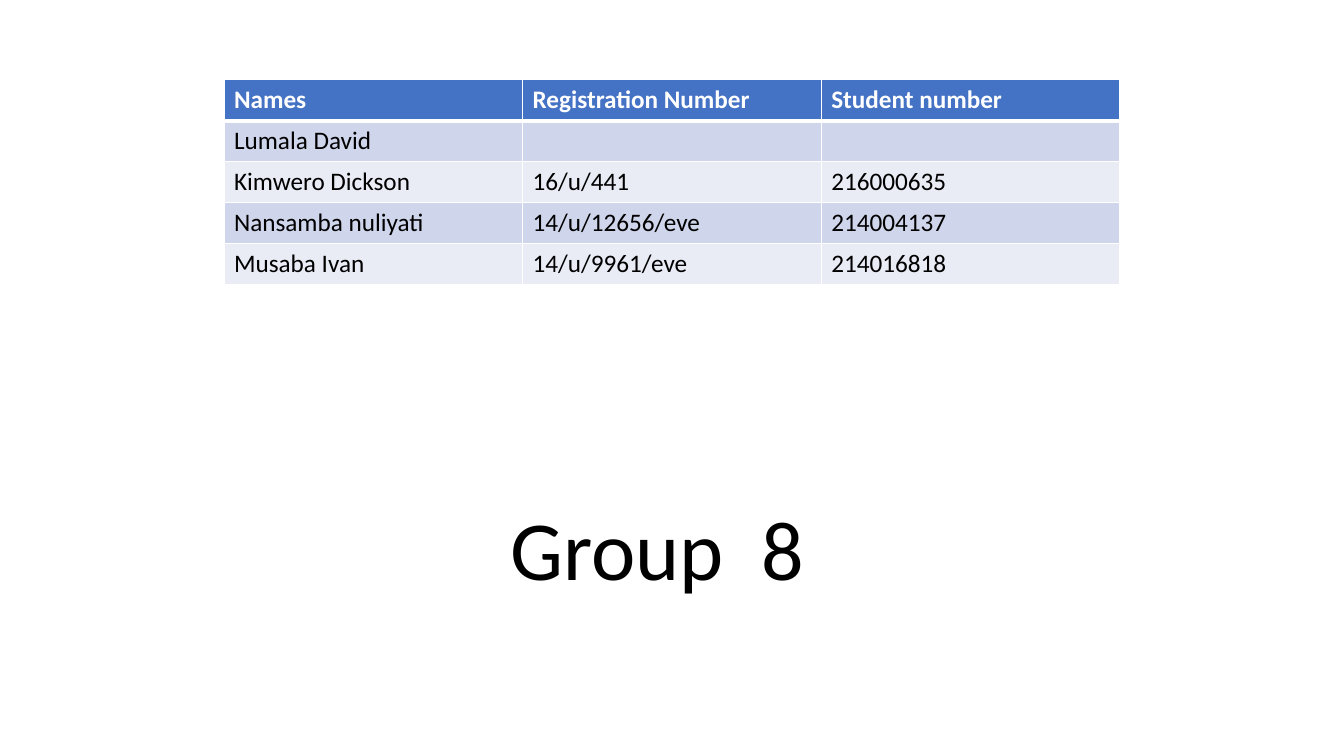
from lxml.etree import SubElement
from pptx import Presentation
from pptx.dml.color import RGBColor
from pptx.enum.text import MSO_ANCHOR, PP_ALIGN
from pptx.oxml.ns import qn
from pptx.util import Pt

TITLE = "Group  8"
ROWS = [
    ("Names", "Registration Number", "Student number"),
    ("Lumala David", "", ""),
    ("Kimwero Dickson", "16/u/441", "216000635"),
    ("Nansamba nuliyati", "14/u/12656/eve", "214004137"),
    ("Musaba Ivan", "14/u/9961/eve", "214016818"),
]
HEAD, BANDS = "4472C4", ("E9EBF5", "CFD5EA")
WHITE, BLACK = "FFFFFF", "000000"
LEFT, TOP, WIDE, HIGH = 160, 57, 640, 29.2


def paint(part, tone):
    """Give a fill or font a solid colour."""
    if hasattr(part, "solid"):
        part.solid()
        part.fore_color.rgb = RGBColor.from_string(tone)
    else:
        part.color.rgb = RGBColor.from_string(tone)


def write(frame, text, size, tone, bold=False):
    """Add one run of text to the first paragraph."""
    para = frame.paragraphs[0]
    run = para.add_run()
    run.text = text
    font = run.font
    font.name, font.size, font.bold = "Calibri", Pt(size), bold
    paint(font, tone)
    return para


def edge(cell, side, width):
    """Draw one white border of a cell."""
    props = cell._tc.get_or_add_tcPr()
    line = SubElement(props, qn("a:ln" + side), w=str(Pt(width)))
    fill = SubElement(line, qn("a:solidFill"))
    SubElement(fill, qn("a:srgbClr"), val=WHITE)


def build():
    """Build the slide with its title and student table."""
    deck = Presentation()
    deck.slide_width, deck.slide_height = Pt(960), Pt(540)
    slide = deck.slides.add_slide(deck.slide_layouts[5])

    title = slide.shapes.title
    title.left, title.top = Pt(109.5), Pt(243.5)
    title.width, title.height = Pt(720), Pt(188)
    frame = title.text_frame
    frame.word_wrap = True
    frame.vertical_anchor = MSO_ANCHOR.BOTTOM
    para = write(frame, TITLE, 60, BLACK)
    para.alignment, para.line_spacing = PP_ALIGN.CENTER, 0.9

    count = len(ROWS)
    table = slide.shapes.add_table(
        count, len(ROWS[0]), Pt(LEFT), Pt(TOP), Pt(WIDE), Pt(HIGH * count)
    ).table
    for r, row in enumerate(ROWS):
        table.rows[r].height = Pt(HIGH)
        for c, text in enumerate(row):
            cell = table.cell(r, c)
            for side in "LRTB":
                thick = (r, side) in ((0, "B"), (1, "T"))
                edge(cell, side, 3 if thick else 1)
            paint(cell.fill, BANDS[r % 2] if r else HEAD)
            if text:
                write(cell.text_frame, text, 18, BLACK if r else WHITE, r == 0)
    deck.save("out.pptx")


build()
